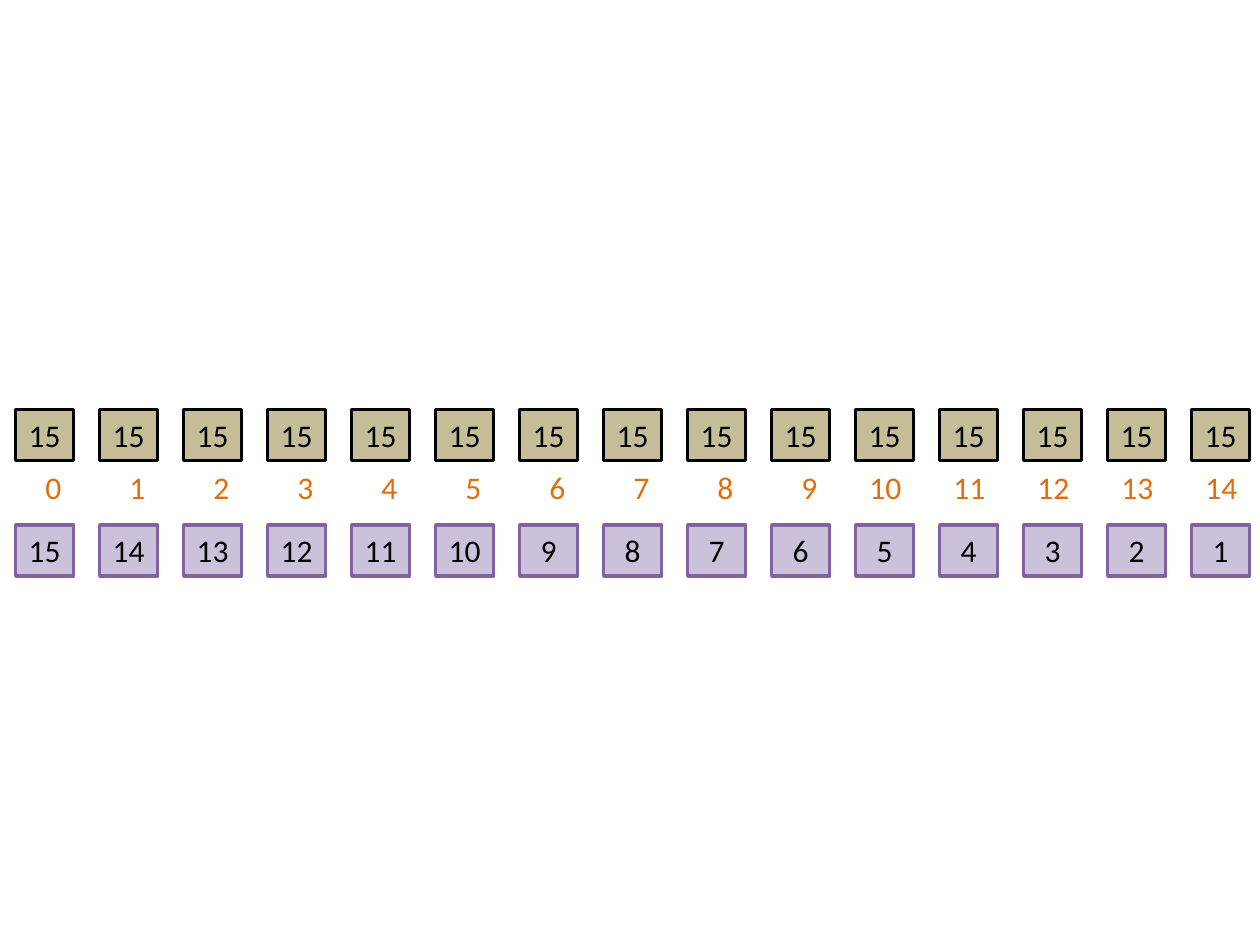
from pptx import Presentation
from pptx.dml.color import RGBColor
from pptx.enum.shapes import MSO_SHAPE
from pptx.enum.text import MSO_ANCHOR, MSO_AUTO_SIZE, PP_ALIGN
from pptx.util import Pt

BLACK = RGBColor(0x00, 0x00, 0x00)
TAN = RGBColor(0xC4, 0xBD, 0x97)
LILAC = RGBColor(0xCC, 0xC1, 0xDA)
PURPLE = RGBColor(0x80, 0x64, 0xA2)
ORANGE = RGBColor(0xE4, 0x6C, 0x0A)

# Content: array length, indices, and elements left from each index
COUNT = 15
lengths = [COUNT] * COUNT
indices = list(range(COUNT))
remaining = [COUNT - index for index in indices]

# Rows: values, top, fill, outline, text colour, alignment
ROWS = [
    (lengths, 234, TAN, BLACK, BLACK, PP_ALIGN.CENTER),
    (indices, 264, None, None, ORANGE, PP_ALIGN.RIGHT),
    (remaining, 300, LILAC, PURPLE, BLACK, PP_ALIGN.CENTER),
]

# Column grid
LEFT, PITCH = 9, 48
CELL_WIDTH, CELL_HEIGHT = 33.12, 29.08


def add_cell(slide, value, left, top, fill, outline, color, alignment):
    place = Pt(left), Pt(top), Pt(CELL_WIDTH), Pt(CELL_HEIGHT)
    if fill is None:
        cell = slide.shapes.add_textbox(*place)
    else:
        cell = slide.shapes.add_shape(MSO_SHAPE.RECTANGLE, *place)
        cell.shadow.inherit = False
        cell.fill.solid()
        cell.fill.fore_color.rgb = fill
        cell.line.color.rgb = outline
        cell.line.width = Pt(2)
    frame = cell.text_frame
    frame.word_wrap = True
    frame.auto_size = MSO_AUTO_SIZE.SHAPE_TO_FIT_TEXT
    frame.vertical_anchor = MSO_ANCHOR.TOP
    frame.text = str(value)
    paragraph = frame.paragraphs[0]
    paragraph.alignment = alignment
    font = paragraph.runs[0].font
    font.name = "Calibri"
    font.size = Pt(18)
    font.color.rgb = color


def main():
    deck = Presentation()
    deck.slide_width, deck.slide_height = Pt(720), Pt(540)
    slide = deck.slides.add_slide(deck.slide_layouts[6])

    for values, top, *style in ROWS:
        for column, value in enumerate(values):
            add_cell(slide, value, LEFT + column * PITCH, top, *style)

    deck.save("out.pptx")


if __name__ == "__main__":
    main()
